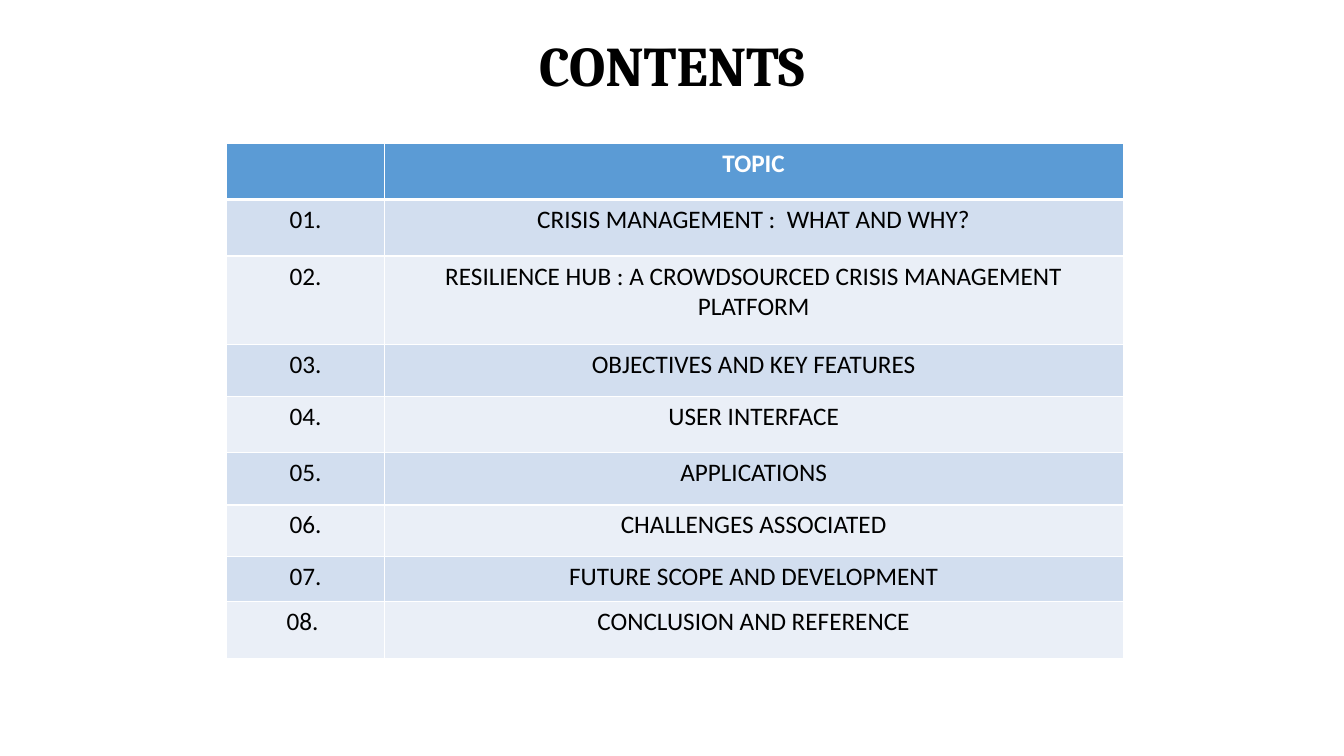
import pptx
import pptx.dml.color
import pptx.enum.text
import pptx.oxml
import pptx.oxml.ns
import pptx.util
from pptx.util import Inches

COLORS = {
    "text": "000000",
    "white": "FFFFFF",
    "header": "5B9BD5",
    "odd_row": "D2DEEF",
    "even_row": "EAEFF7",
}

TOPICS = [
    ("01.", "CRISIS MANAGEMENT :  WHAT AND WHY?"),
    ("02.", "RESILIENCE HUB : A CROWDSOURCED CRISIS MANAGEMENT PLATFORM"),
    ("03.", "OBJECTIVES AND KEY FEATURES"),
    ("04.", "USER INTERFACE"),
    ("05.", "APPLICATIONS"),
    ("06.", "CHALLENGES ASSOCIATED"),
    ("07.", "FUTURE SCOPE AND DEVELOPMENT"),
    ("08. ", "CONCLUSION AND REFERENCE"),
]
COLUMN_WIDTHS = [1.56, 7.33]
ROW_HEIGHTS = [0.56, 0.56, 0.88, 0.51, 0.56, 0.52, 0.51, 0.45, 0.56]


def rgb(name):
    return pptx.dml.color.RGBColor.from_string(COLORS[name])


def add_centered_run(paragraph, text, font, size, color, bold):
    paragraph.alignment = pptx.enum.text.PP_ALIGN.CENTER
    run = paragraph.add_run()
    run.text = text
    run.font.name = font
    run.font.size = pptx.util.Pt(size)
    run.font.bold = bold
    run.font.color.rgb = rgb(color)


def set_borders(cell, bottom_width):
    properties = cell._tc.get_or_add_tcPr()
    for side, width in (("L", 1), ("R", 1), ("T", 1), ("B", bottom_width)):
        properties.append(pptx.oxml.parse_xml(
            f'<a:ln{side} {pptx.oxml.ns.nsdecls("a")} w="{pptx.util.Pt(width)}">'
            f'<a:solidFill><a:srgbClr val="{COLORS["white"]}"/></a:solidFill>'
            f'</a:ln{side}>'))


def add_title(slide, text):
    title = slide.shapes.add_textbox(
        Inches(3.33), Inches(0.25), Inches(6.67), Inches(0.77))
    frame = title.text_frame
    frame.word_wrap = True
    frame.auto_size = pptx.enum.text.MSO_AUTO_SIZE.SHAPE_TO_FIT_TEXT
    heading = frame.paragraphs[0]
    heading.space_after = pptx.util.Pt(1.5)
    add_centered_run(heading, text, "Cambria", 40, "text", True)


def add_contents_table(slide):
    rows = [("", "TOPIC")] + TOPICS
    contents = slide.shapes.add_table(
        len(rows), len(COLUMN_WIDTHS), Inches(2.25), Inches(1.42),
        Inches(sum(COLUMN_WIDTHS)), Inches(sum(ROW_HEIGHTS))).table
    contents.horz_banding = False

    for column, width in zip(contents.columns, COLUMN_WIDTHS):
        column.width = Inches(width)
    for row, height in zip(contents.rows, ROW_HEIGHTS):
        row.height = Inches(height)

    for row_index, texts in enumerate(rows):
        is_header = row_index == 0
        if is_header:
            fill = "header"
        else:
            fill = "odd_row" if row_index % 2 else "even_row"
        for column_index, text in enumerate(texts):
            cell = contents.cell(row_index, column_index)
            set_borders(cell, 3 if is_header else 1)
            cell.fill.solid()
            cell.fill.fore_color.rgb = rgb(fill)
            if text:
                add_centered_run(cell.text_frame.paragraphs[0], text, "Calibri",
                                 18, "white" if is_header else "text", is_header)


def main():
    deck = pptx.Presentation()
    deck.slide_width = Inches(13.33)
    deck.slide_height = Inches(7.5)
    slide = deck.slides.add_slide(deck.slide_layouts[6])

    # Heading
    add_title(slide, "CONTENTS")

    # Numbered topics
    add_contents_table(slide)

    deck.save("out.pptx")


if __name__ == "__main__":
    main()
